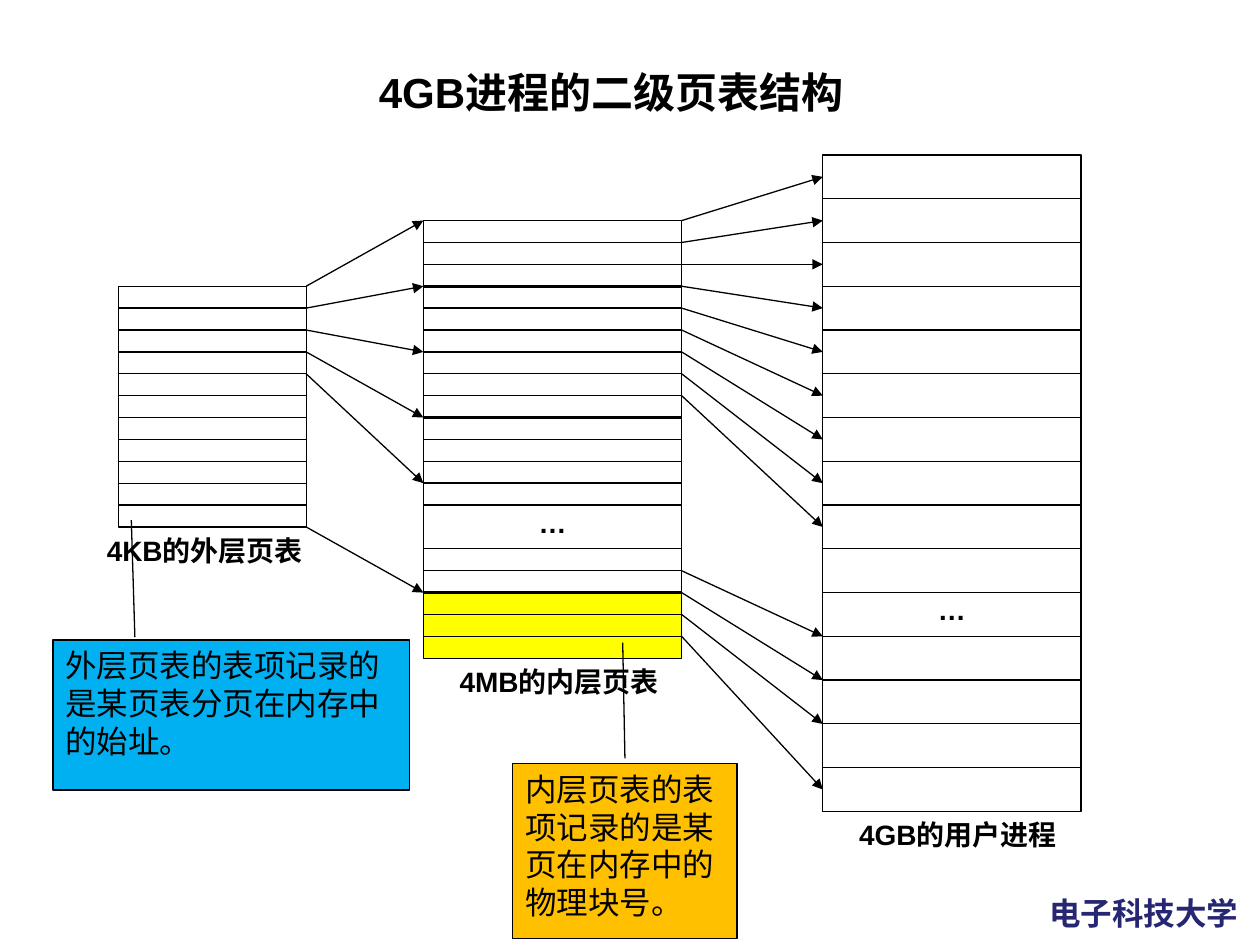
"""Builds a slide showing the two-level page table of a 4GB process."""
from lxml.etree import SubElement
from pptx import Presentation
from pptx.dml.color import RGBColor
from pptx.enum.shapes import MSO_CONNECTOR, MSO_SHAPE
from pptx.enum.text import MSO_ANCHOR, PP_ALIGN
from pptx.oxml.ns import qn
from pptx.util import Inches, Pt

COLORS = {
    "ink": "000000",
    "white": "FFFFFF",
    "yellow": "FFFF00",
    "blue": "00B0F0",
    "orange": "FFC000",
    "navy": "262673",
}
TOP = 1.23
UNIT = (6.44 - TOP) / 30
OUTER_X, OUTER_W = 0.94, 1.49
INNER_X, INNER_W = 3.36, 2.05
PROCESS_X, PROCESS_W = 6.53, 2.05


def color(name):
    """Return the named palette colour."""
    return RGBColor.from_string(COLORS[name])


def level(n):
    """Return the height on the slide of grid line n."""
    return TOP + n * UNIT


def write(s, text, size, bold=True, ink="ink", align=PP_ALIGN.LEFT, wrap=True):
    """Put one top-anchored paragraph of Arial text into a shape."""
    tf = s.text_frame
    tf.text = text
    tf.word_wrap = wrap
    tf.vertical_anchor = MSO_ANCHOR.TOP
    p = tf.paragraphs[0]
    p.alignment = align
    font = p.runs[0].font
    font.name, font.size, font.bold = "Arial", Pt(size), bold
    font.color.rgb = color(ink)


def add_label(slide, box, text, size, **style):
    """Add a text box."""
    s = slide.shapes.add_textbox(*map(Inches, box))
    write(s, text, size, **style)


def add_box(slide, kind, box, fill):
    """Add a filled shape with a thin outline."""
    s = slide.shapes.add_shape(kind, *map(Inches, box))
    s.shadow.inherit = False
    s.fill.solid()
    s.fill.fore_color.rgb = color(fill)
    s.line.color.rgb = color("ink")
    s.line.width = Pt(0.75)
    return s


def add_row(slide, x, width, start, units=1, fill="white", text=None):
    """Add one table row that begins at a grid line."""
    box = (x, level(start), width, units * UNIT)
    s = add_box(slide, MSO_SHAPE.RECTANGLE, box, fill)
    if text:
        write(s, text, 16, align=PP_ALIGN.CENTER)
        tf = s.text_frame
        tf.margin_left = tf.margin_right = tf.margin_top = tf.margin_bottom = 0
    return s


def add_line(slide, x1, n1, x2, n2, weight=0.75, arrow=False):
    """Add a straight line between two grid lines."""
    ends = (x1, level(n1), x2, level(n2))
    s = slide.shapes.add_connector(MSO_CONNECTOR.STRAIGHT, *map(Inches, ends))
    s.line.color.rgb = color("ink")
    s.line.width = Pt(weight)
    if arrow:
        SubElement(s.line._get_or_add_ln(), qn("a:tailEnd"), type="triangle")
    SubElement(s._element.spPr, qn("a:effectLst"))
    return s


def add_callout(slide, box, adjustments, fill, text):
    """Add a bordered callout with its explanation."""
    s = add_box(slide, MSO_SHAPE.LINE_CALLOUT_1, box, fill)
    for i, value in enumerate(adjustments):
        s.adjustments[i] = value
    write(s, text, 18, bold=False)


def add_process(slide):
    """Add the user process and the arrows from the inner table."""
    rows = [
        add_row(slide, PROCESS_X, PROCESS_W, 2 * i, 2, text="…" if i == 10 else None)
        for i in range(15)
    ]
    links = [(3 + i, 1 + 2 * i) for i in range(9)]
    links += [(19, 22), (20, 24), (21, 26), (22, 29)]
    for start, end in links:
        s = add_line(slide, INNER_X + INNER_W, start, PROCESS_X, end, arrow=True)
        if end % 2:
            s.end_connect(rows[end // 2], 1)


def add_inner_table(slide):
    """Add the inner page table, its page borders and incoming arrows."""
    for start, end in [(6 + i, 3 + 3 * i) for i in range(5)] + [(17, 20)]:
        add_line(slide, OUTER_X + OUTER_W, start, INNER_X, end, arrow=True)
    for n in [*range(3, 16), *range(18, 23)]:
        add_row(slide, INNER_X, INNER_W, n, fill="yellow" if n >= 20 else "white")
    add_row(slide, INNER_X, INNER_W, 16, 2, text="…")
    for n in (6, 9, 12, 15, 20):
        add_line(slide, INNER_X, n, INNER_X + INNER_W, n, weight=1.5)


def main():
    """Build and save the slide."""
    prs = Presentation()
    prs.slide_width, prs.slide_height = Inches(10), Inches(7.5)
    slide = prs.slides.add_slide(prs.slide_layouts[6])

    add_label(slide, (8.23, 7.05, 1.73, 0.4), "电子科技大学", 18, ink="navy", wrap=False)
    for n in range(6, 17):
        add_row(slide, OUTER_X, OUTER_W, n)
    add_process(slide)
    add_inner_table(slide)

    for x, n, text in (
        (6.72, 30, "4GB的用户进程"),
        (3.55, 23, "4MB的内层页表"),
        (0.75, 17, "4KB的外层页表"),
    ):
        add_label(slide, (x, level(n), 1.86, 0.52), text, 16, align=PP_ALIGN.JUSTIFY)
    add_label(slide, (1.12, 0.48, 7.46, 0.52), "4GB进程的二级页表结构", 24,
              align=PP_ALIGN.CENTER)

    add_callout(slide, (0.42, 5.08, 2.83, 1.19), (-0.02, 0.23, -0.8, 0.22), "blue",
                "外层页表的表项记录的是某页表分页在内存中的始址。")
    add_callout(slide, (4.07, 6.06, 1.78, 1.39), (-0.69, 0.49, -0.03, 0.5), "orange",
                "内层页表的表项记录的是某页在内存中的物理块号。")
    prs.save("out.pptx")


if __name__ == "__main__":
    main()
